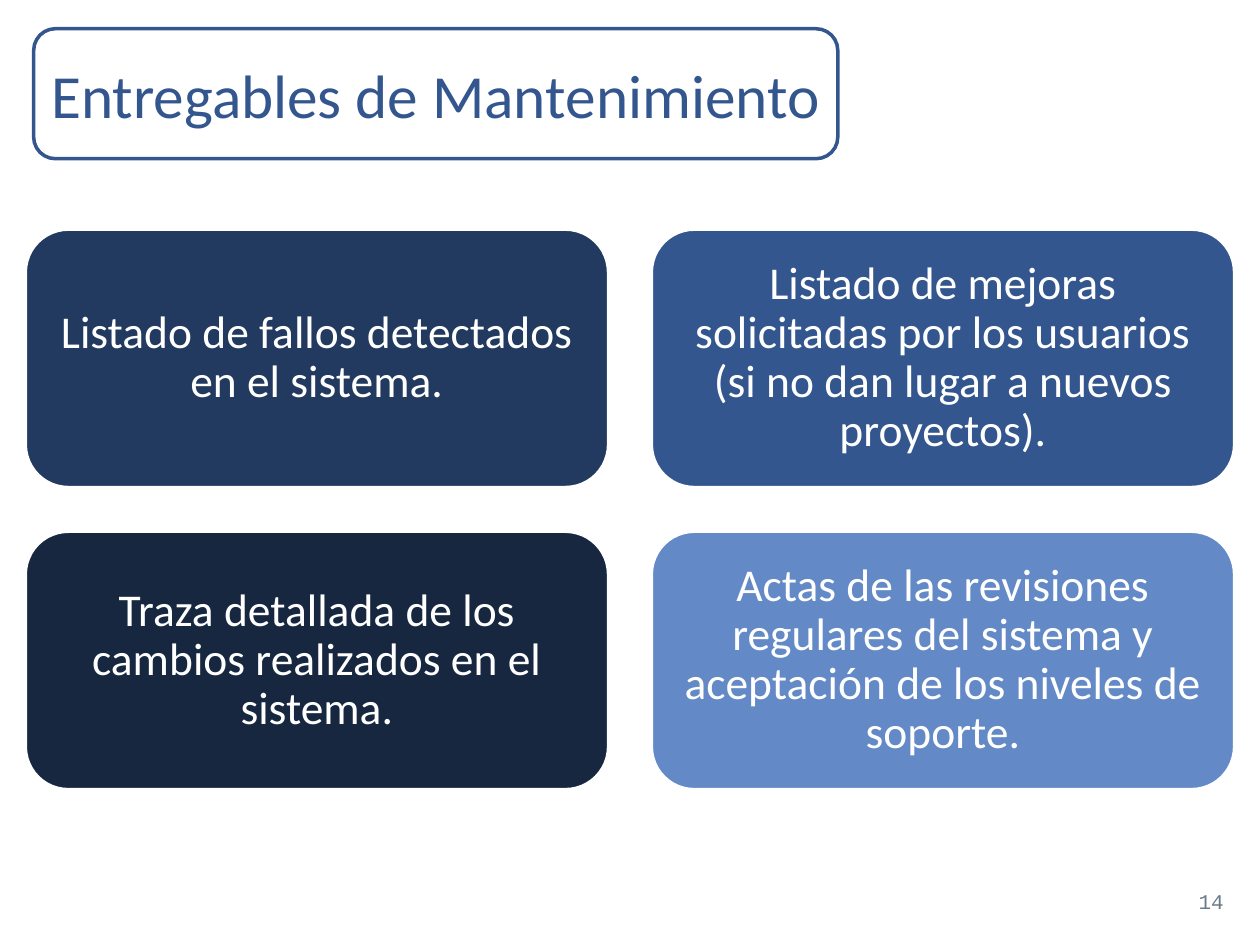
from pptx import Presentation
from pptx.dml.color import RGBColor
from pptx.enum.shapes import MSO_SHAPE
from pptx.enum.text import MSO_ANCHOR, PP_ALIGN
from pptx.util import Cm, Pt

ROUNDED = MSO_SHAPE.ROUNDED_RECTANGLE
MIDDLE = MSO_ANCHOR.MIDDLE
CENTER, RIGHT = PP_ALIGN.CENTER, PP_ALIGN.RIGHT

WHITE = RGBColor(0xFF, 0xFF, 0xFF)
BLUE = RGBColor(0x33, 0x56, 0x8E)
NAVY = RGBColor(0x22, 0x3A, 0x5F)
DARK_NAVY = RGBColor(0x17, 0x27, 0x40)
LIGHT_BLUE = RGBColor(0x63, 0x8A, 0xC7)
GRAY = RGBColor(0x6C, 0x7A, 0x8A)

# Content
TITLE = "Entregables de Mantenimiento"
PAGE_NUMBER = "14"
DELIVERABLES = [
    ("Listado de fallos detectados en el sistema.", NAVY),
    ("Listado de mejoras solicitadas por los usuarios "
     "(si no dan lugar a nuevos proyectos).", BLUE),
    ("Traza detallada de los cambios realizados en el sistema.", DARK_NAVY),
    ("Actas de las revisiones regulares del sistema y "
     "aceptación de los niveles de soporte.", LIGHT_BLUE),
]

# Layout, in centimetres
TITLE_AREA = (0.68, 0.58, 16.21, 2.62)
NUMBER_AREA = (19.2, 17.65, 5.72, 1.02)
GRID_LEFT, GRID_TOP = 0.51, 4.62
CARD_WIDTH, CARD_HEIGHT = 11.76, 5.21
COLUMNS = 2
GAP_X, GAP_Y = 0.86, 0.88
CARD_INSET = 0.28


def add_rounded_box(page, area, fill, line):
    box = page.shapes.add_shape(ROUNDED, *map(Cm, area))
    box.shadow.inherit = False
    box.fill.solid()
    box.fill.fore_color.rgb = fill
    box.line.color.rgb = line
    box.line.width = Pt(2)
    return box


def write(box, text, font_name, size, color, align):
    frame = box.text_frame
    frame.text = text
    frame.vertical_anchor = MIDDLE
    frame.word_wrap = True
    paragraph = frame.paragraphs[0]
    paragraph.alignment = align
    font = paragraph.runs[0].font
    font.name, font.size, font.color.rgb = font_name, Pt(size), color
    return frame


deck = Presentation()
deck.slide_width, deck.slide_height = Cm(25.4), Cm(19.05)
page = deck.slides.add_slide(deck.slide_layouts[5])

# Title over its rounded frame
frame_box = add_rounded_box(page, TITLE_AREA, WHITE, BLUE)
title = page.shapes.title
title.left, title.top, title.width, title.height = map(Cm, TITLE_AREA)
write(title, TITLE, "Calibri", 35, BLUE, CENTER).word_wrap = False
page.shapes._spTree.append(title._element)

# Grid of deliverables
for index, (text, color) in enumerate(DELIVERABLES):
    row, column = divmod(index, COLUMNS)
    area = (GRID_LEFT + column * (CARD_WIDTH + GAP_X),
            GRID_TOP + row * (CARD_HEIGHT + GAP_Y),
            CARD_WIDTH, CARD_HEIGHT)
    card = add_rounded_box(page, area, color, WHITE)
    frame = write(card, text, "Calibri", 26, WHITE, CENTER)
    frame.margin_left = frame.margin_right = Cm(CARD_INSET)
    frame.margin_top = frame.margin_bottom = Cm(CARD_INSET)
    frame.paragraphs[0].line_spacing = 0.9

# Page number
number_box = page.shapes.add_textbox(*map(Cm, NUMBER_AREA))
write(number_box, PAGE_NUMBER, "Courier New", 12, GRAY, RIGHT)

deck.save("out.pptx")
